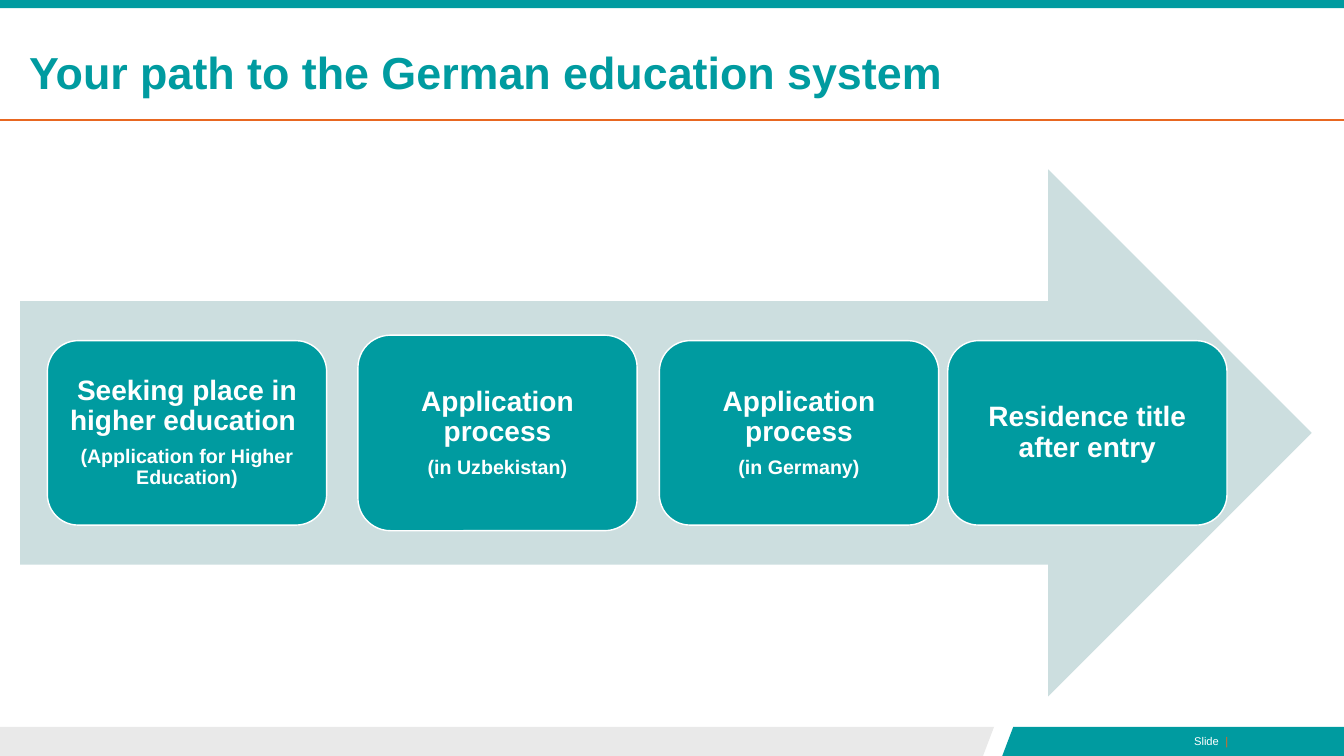
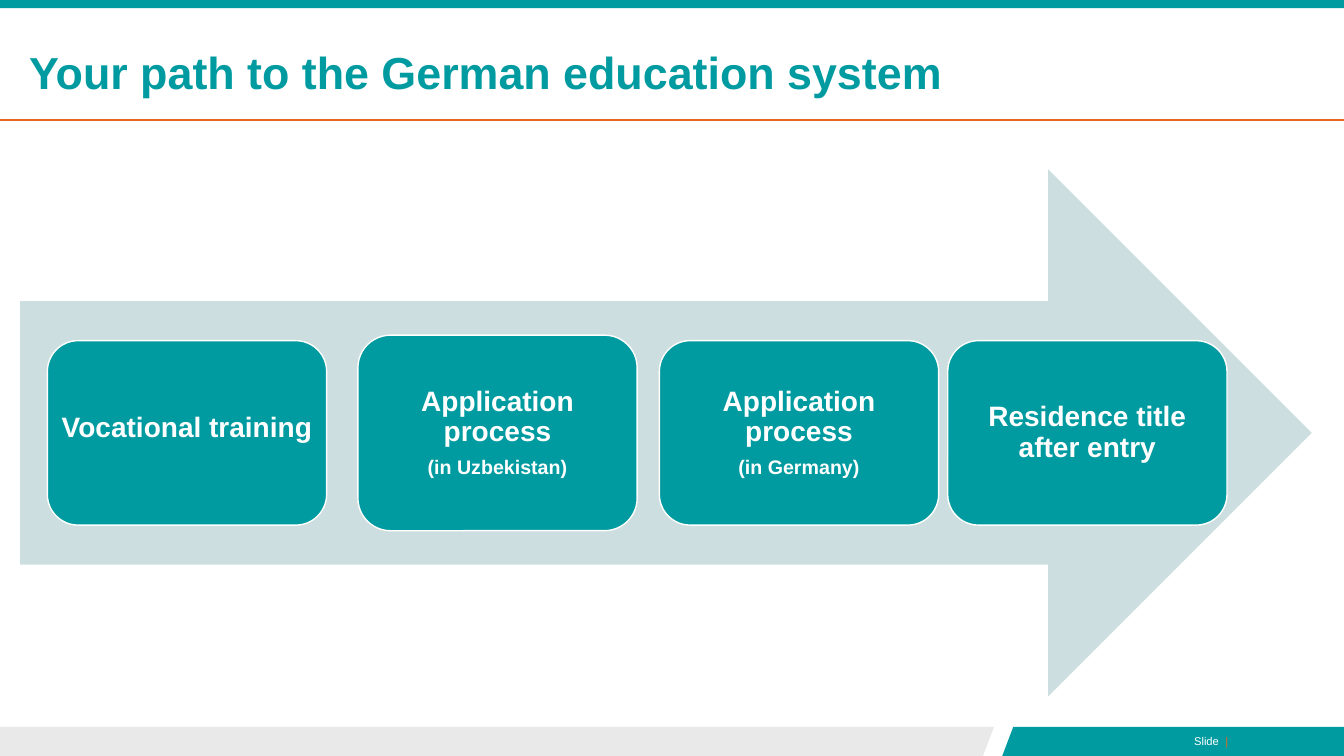
from dataclasses import dataclass

from lxml.etree import SubElement
from pptx import Presentation
from pptx.dml.color import RGBColor
from pptx.enum.shapes import MSO_CONNECTOR, MSO_SHAPE
from pptx.enum.text import MSO_ANCHOR, PP_ALIGN
from pptx.oxml.ns import qn
from pptx.util import Inches, Pt

# Content: each slide has its own first step, followed by the common ones
TITLE = "Your path to the German education system"
FOOTER = "Slide "
FIRST_STEPS = [
    {"heading": "Seeking place in higher education ",
     "detail": "(Application for Higher Education)"},
    {"heading": "Vocational training", "lift": 0.04},
]
COMMON_STEPS = [
    {"heading": "Application process", "detail": "(in Uzbekistan)", "height": 1.94},
    {"heading": "Application process", "detail": "(in Germany)"},
    {"heading": "Residence title after entry"},
]


@dataclass(frozen=True)
class Theme:
    teal: RGBColor = RGBColor(0x00, 0x9B, 0xA0)
    pale_teal: RGBColor = RGBColor(0xCC, 0xDE, 0xDF)
    orange: RGBColor = RGBColor(0xE8, 0x67, 0x21)
    grey: RGBColor = RGBColor(0xE9, 0xE9, 0xE9)
    white: RGBColor = RGBColor(0xFF, 0xFF, 0xFF)
    font: str = "Arial"
    title_size: int = 32
    heading_size: int = 20
    detail_size: int = 14
    footer_size: int = 8
    line_spacing: float = 0.9
    space_after: float = 0.35


THEME = Theme()

# Layout in inches
WIDTH, HEIGHT = 13.33, 7.5
TOP_BAND = 0.08
RULE_TOP = 1.19
TITLE_TOP = 0.29
FOOTER_TOP = 7.21
FOOTER_SLANT = 0.11
GREY_END, TEAL_START = 9.75, 9.94
ARROW = (0.2, 1.68, 12.81, 5.23)
STEP_LEFTS = (0.47, 3.55, 6.54, 9.4)
STEP_WIDTH, STEP_HEIGHT = 2.77, 1.83
STEP_MARGIN = 0.04


def style(run, size, color, bold=False):
    run.font.name = THEME.font
    run.font.size = Pt(size)
    run.font.bold = bold
    run.font.color.rgb = color


def paint(shape, fill, outline=None):
    shape.shadow.inherit = False
    shape.fill.solid()
    shape.fill.fore_color.rgb = fill
    if outline is None:
        shape.line.fill.background()
    else:
        shape.line.color.rgb = outline
        shape.line.width = Pt(1)


def add_block(slide, kind, box, fill, outline=None):
    shape = slide.shapes.add_shape(kind, *map(Inches, box))
    paint(shape, fill, outline)
    return shape


def add_polygon(slide, points, fill):
    start, *others = [(Inches(x), Inches(y)) for x, y in points]
    builder = slide.shapes.build_freeform(*start)
    builder.add_line_segments(others, close=True)
    paint(builder.convert_to_shape(), fill)


def add_text_box(slide, box):
    text_frame = slide.shapes.add_textbox(*map(Inches, box)).text_frame
    text_frame.word_wrap = True
    return text_frame


def add_frame(slide):
    # Footer bands with parallel slanted ends
    add_polygon(slide, [(0, FOOTER_TOP), (GREY_END + FOOTER_SLANT, FOOTER_TOP),
                        (GREY_END, HEIGHT), (0, HEIGHT)], THEME.grey)
    add_polygon(slide, [(TEAL_START + FOOTER_SLANT, FOOTER_TOP), (WIDTH, FOOTER_TOP),
                        (WIDTH, HEIGHT), (TEAL_START, HEIGHT)], THEME.teal)
    paragraph = add_text_box(slide, (11.11, 7.24, 1.17, 0.24)).paragraphs[0]
    paragraph.alignment = PP_ALIGN.RIGHT
    for text, color in ((FOOTER, THEME.white), (" |", THEME.orange)):
        run = paragraph.add_run()
        run.text = text
        style(run, THEME.footer_size, color)

    # Top band and rule under the title
    add_block(slide, MSO_SHAPE.RECTANGLE, (0, 0, WIDTH, TOP_BAND), THEME.teal)
    rule = slide.shapes.add_connector(
        MSO_CONNECTOR.STRAIGHT, 0, Inches(RULE_TOP), Inches(WIDTH), Inches(RULE_TOP))
    rule.line.color.rgb = THEME.orange
    rule.line.width = Pt(1.25)
    SubElement(rule._element.spPr, qn("a:effectLst"))

    # Title
    text_frame = add_text_box(slide, (0.19, TITLE_TOP, 10.03, RULE_TOP - TITLE_TOP))
    text_frame.vertical_anchor = MSO_ANCHOR.MIDDLE
    text_frame.text = TITLE
    paragraph = text_frame.paragraphs[0]
    paragraph.line_spacing = THEME.line_spacing
    style(paragraph.runs[0], THEME.title_size, THEME.teal, bold=True)


def add_step(slide, left, middle, heading, detail=None, height=STEP_HEIGHT, lift=0):
    box = (left, middle - height / 2, STEP_WIDTH, height)
    shape = add_block(slide, MSO_SHAPE.ROUNDED_RECTANGLE, box, THEME.teal, THEME.white)
    text_frame = shape.text_frame
    text_frame.word_wrap = True
    text_frame.vertical_anchor = MSO_ANCHOR.MIDDLE
    text_frame.margin_left = text_frame.margin_right = Inches(STEP_MARGIN)
    text_frame.margin_top = Inches(STEP_MARGIN)
    text_frame.margin_bottom = Inches(STEP_MARGIN + 2 * lift)
    text_frame.text = f"{heading}\n{detail}" if detail else heading
    sizes = (THEME.heading_size, THEME.detail_size)
    for paragraph, size in zip(text_frame.paragraphs, sizes):
        paragraph.alignment = PP_ALIGN.CENTER
        paragraph.line_spacing = THEME.line_spacing
        paragraph.space_after = Pt(size * THEME.space_after)
        style(paragraph.runs[0], size, THEME.white, bold=True)


def add_path(slide, steps):
    add_block(slide, MSO_SHAPE.RIGHT_ARROW, ARROW, THEME.pale_teal)
    middle = ARROW[1] + ARROW[3] / 2
    for left, step in zip(STEP_LEFTS, steps):
        add_step(slide, left, middle, **step)


def main():
    presentation = Presentation()
    presentation.slide_width = Inches(WIDTH)
    presentation.slide_height = Inches(HEIGHT)
    for first_step in FIRST_STEPS:
        slide = presentation.slides.add_slide(presentation.slide_layouts[6])
        add_frame(slide)
        add_path(slide, [first_step, *COMMON_STEPS])
    presentation.save("out.pptx")


if __name__ == "__main__":
    main()
